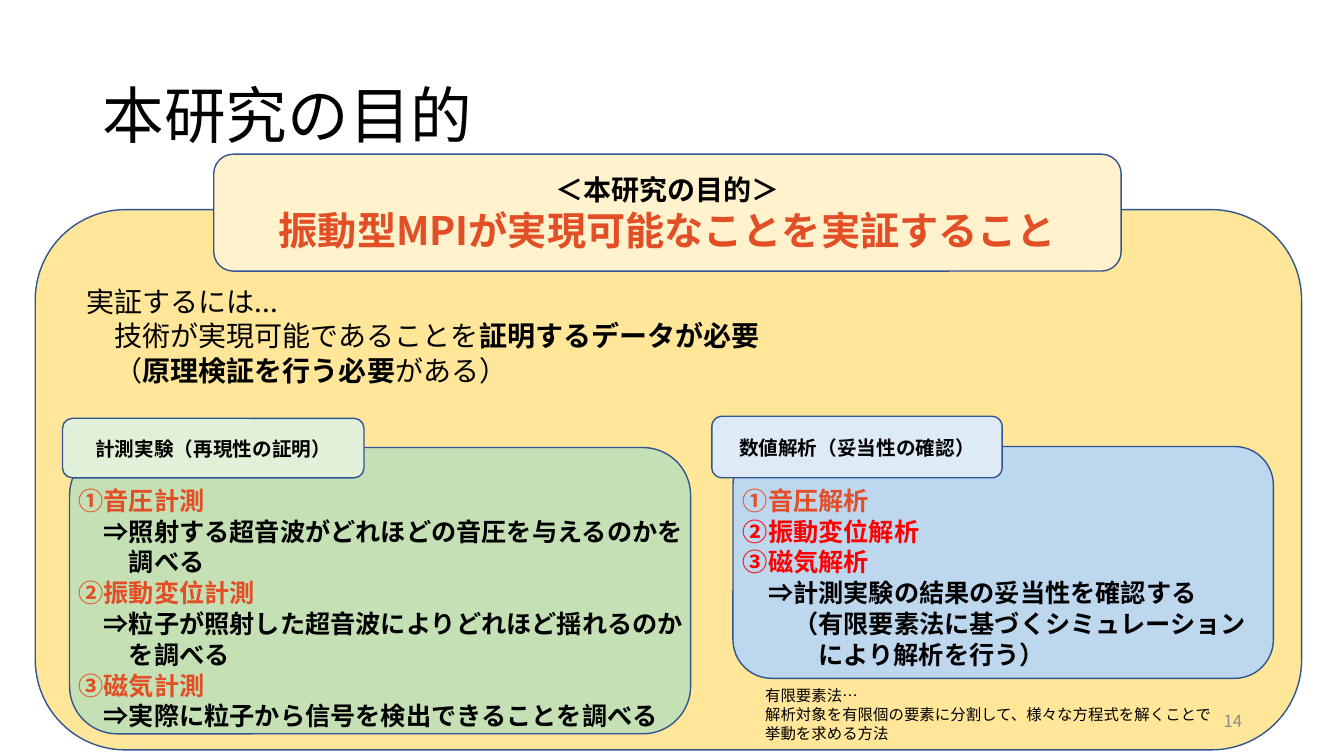
"""Build the research-purpose slide."""
from dataclasses import dataclass

from lxml import etree
from pptx import Presentation
from pptx import util as u
from pptx.dml.color import RGBColor
from pptx.enum import shapes, text
from pptx.oxml.ns import qn
from pptx.slide import Slide

FONT = "Noto Sans CJK JP"
LINE_HEIGHT = 1.22
COLORS = {
    "black": "000000",
    "gray": "8C8C8C",
    "orange": "E24E26",
    "red": "FF0000",
    "outline": "325491",
    "yellow": "FFE699",
    "cream": "FFF2CC",
    "green": "C5E0B4",
    "pale_green": "E2F0D9",
    "blue": "BDD7EE",
    "pale_blue": "DEEBF7",
}
LEFT, CENTER, RIGHT = text.PP_ALIGN.LEFT, text.PP_ALIGN.CENTER, text.PP_ALIGN.RIGHT
TOP, MIDDLE = text.MSO_ANCHOR.TOP, text.MSO_ANCHOR.MIDDLE


@dataclass(frozen=True)
class Run:
    text: str
    bold: bool = False
    color: str = "black"


@dataclass(frozen=True)
class Line:
    runs: tuple[Run, ...]
    size: float
    indent: int = 0


@dataclass(frozen=True)
class Block:
    box: tuple[float, float, float, float]
    lines: tuple[Line, ...] = ()
    fill: str = ""
    align: text.PP_ALIGN = LEFT
    anchor: text.MSO_ANCHOR = TOP


def plain(content: str, size: float, color: str = "black") -> Line:
    return Line((Run(content, color=color),), size)


def strong(content: str, size: float = 18, indent: int = 0, color: str = "black") -> Line:
    return Line((Run(content, True, color),), size, indent)


def panel(box: tuple[float, float, float, float], fill: str, *lines: Line) -> Block:
    return Block(box, lines, fill, CENTER, MIDDLE)


BLOCKS = (
    Block((0.92, 0.4, 11.5, 1.45), (plain("本研究の目的", 44),), anchor=MIDDLE),
    panel((0.35, 2.08, 12.56, 5.36), "yellow"),
    Block((0.76, 2.77, 7.22, 1.11), (
        plain("実証するには...", 20),
        Line((Run("技術が実現可能であることを"), Run("証明するデータが必要", True)), 20, 1),
        Line((Run("（"), Run("原理検証を行う必要", True), Run("がある）")), 20, 1),
    )),
    panel((2.12, 1.53, 9, 1.16), "cream",
          strong("＜本研究の目的＞", 20),
          strong("振動型MPIが実現可能なことを実証すること", 28, color="orange")),
    Block((9.42, 6.95, 3, 0.4), (plain("14", 12, "gray"),), align=RIGHT, anchor=MIDDLE),
    panel((0.69, 4.44, 6.16, 2.84), "green"),
    panel((0.62, 4.15, 2.99, 0.59), "pale_green", strong("計測実験（再現性の証明）", 14)),
    panel((7.27, 4.43, 5.36, 2.3), "blue"),
    panel((7.06, 4.13, 2.88, 0.61), "pale_blue", strong("数値解析（妥当性の確認）", 14)),
    Block((0.68, 4.76, 6.38, 2.52), (
        strong("➀音圧計測", color="orange"),
        strong("⇒照射する超音波がどれほどの音圧を与えるのかを", indent=1),
        strong("調べる", indent=2),
        strong("②振動変位計測", color="orange"),
        strong("⇒粒子が照射した超音波によりどれほど揺れるのか", indent=1),
        strong("を調べる", indent=2),
        strong("③磁気計測", color="orange"),
        strong("⇒実際に粒子から信号を検出できることを調べる", indent=1),
    )),
    Block((7.27, 4.76, 5.37, 1.92), (
        strong("➀音圧解析", color="orange"),
        strong("②振動変位解析", color="red"),
        strong("③磁気解析", color="red"),
        strong("⇒計測実験の結果の妥当性を確認する", indent=1),
        strong("（有限要素法に基づくシミュレーション", indent=2),
        strong("により解析を行う）", indent=3),
    )),
    Block((7.49, 6.76, 4.65, 0.66), (
        plain("有限要素法…", 11),
        plain("解析対象を有限個の要素に分割して、様々な方程式を解くことで挙動を求める方法", 11),
    )),
)


def rgb(name: str) -> RGBColor:
    return RGBColor.from_string(COLORS[name])


def add_run(p, run: Run, size: float) -> None:
    r = p.add_run()
    r.text = run.text
    r.font.size = u.Pt(size)
    r.font.bold = run.bold
    r.font.color.rgb = rgb(run.color)
    r.font.name = FONT
    etree.SubElement(r.font._element, qn("a:ea"), typeface=FONT)


def draw_block(s: Slide, block: Block) -> None:
    box = [u.Inches(v) for v in block.box]
    if block.fill:
        sp = s.shapes.add_shape(shapes.MSO_SHAPE.ROUNDED_RECTANGLE, *box)
        sp.shadow.inherit = False
        sp.fill.solid()
        sp.fill.fore_color.rgb = rgb(block.fill)
        sp.line.color.rgb = rgb("outline")
        sp.line.width = u.Pt(1)
    else:
        sp = s.shapes.add_textbox(*box)
    tf = sp.text_frame
    tf.word_wrap = True
    tf.vertical_anchor = block.anchor
    for i, line in enumerate(block.lines):
        p = tf.add_paragraph() if i else tf.paragraphs[0]
        p.alignment = block.align
        p.line_spacing = u.Pt(line.size * LINE_HEIGHT)
        if line.indent:
            p._p.get_or_add_pPr().set("marL", str(u.Pt(line.size * line.indent)))
        for run in line.runs:
            add_run(p, run, line.size)


def main() -> None:
    prs = Presentation()
    prs.slide_width, prs.slide_height = u.Inches(13.33), u.Inches(7.5)
    s = prs.slides.add_slide(prs.slide_layouts[6])
    for block in BLOCKS:
        draw_block(s, block)
    prs.save("out.pptx")


if __name__ == "__main__":
    main()
